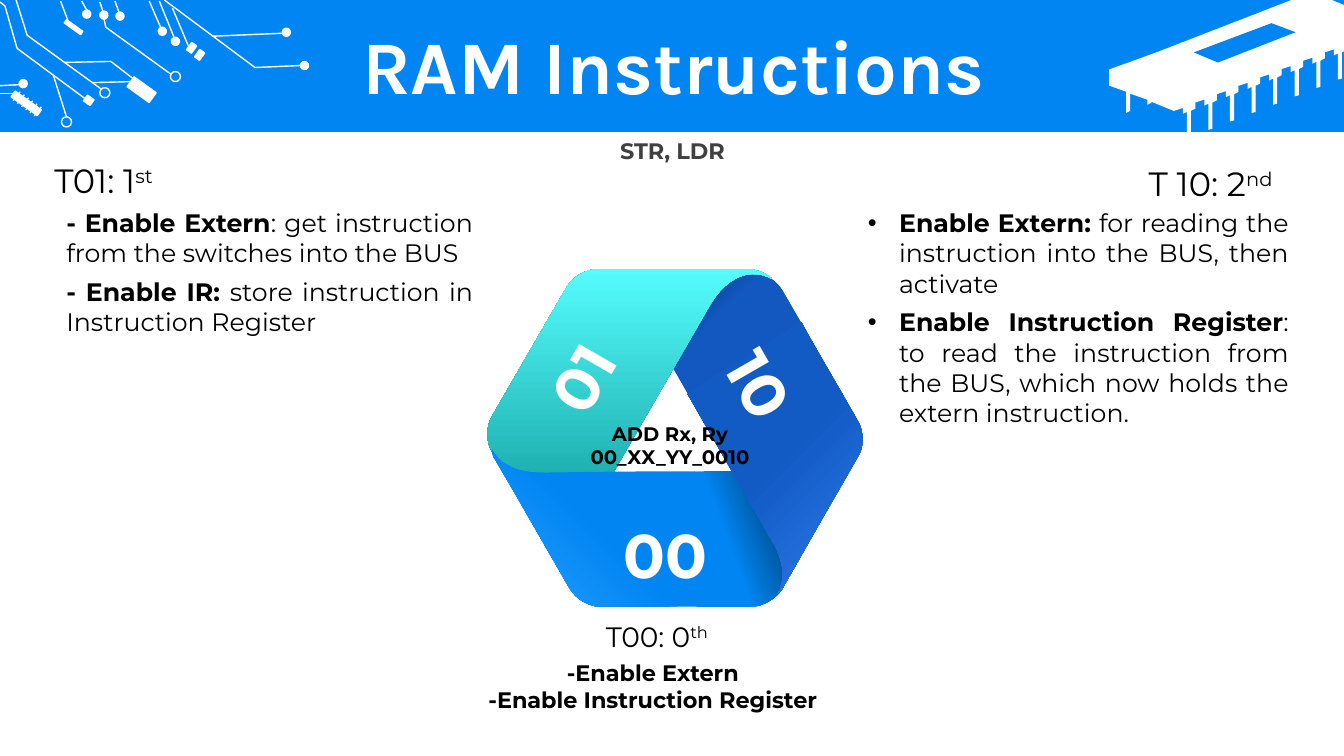
from lxml import etree
from pptx import Presentation
from pptx.dml.color import RGBColor
from pptx.enum.shapes import MSO_CONNECTOR, MSO_SHAPE
from pptx.enum.text import MSO_ANCHOR, MSO_AUTO_SIZE, PP_ALIGN
from pptx.oxml.ns import qn
from pptx.util import Inches, Pt

RECTANGLE, OVAL = MSO_SHAPE.RECTANGLE, MSO_SHAPE.OVAL
STRAIGHT = MSO_CONNECTOR.STRAIGHT
TOP, MIDDLE = MSO_ANCHOR.TOP, MSO_ANCHOR.MIDDLE
LEFT, CENTER, RIGHT, JUSTIFY = PP_ALIGN.LEFT, PP_ALIGN.CENTER, PP_ALIGN.RIGHT, PP_ALIGN.JUSTIFY
GROW = MSO_AUTO_SIZE.SHAPE_TO_FIT_TEXT
BLUE = RGBColor(0x00, 0x85, 0xF2)
LIGHT_BLUE = RGBColor(0x2B, 0xA0, 0xFF)
SHADE_BLUE = RGBColor(0x00, 0x4C, 0x8A)
ROYAL = RGBColor(0x12, 0x5A, 0xC4)
DEEP_ROYAL = RGBColor(0x12, 0x58, 0xC0)
BRIGHT_ROYAL = RGBColor(0x2E, 0x7B, 0xEC)
NAVY = RGBColor(0x06, 0x1F, 0x45)
TEAL = RGBColor(0x01, 0x86, 0x87)
AQUA = RGBColor(0x55, 0xFC, 0xFD)
WHITE = RGBColor(0xFF, 0xFF, 0xFF)
BLACK = RGBColor(0x00, 0x00, 0x00)
GRAY = RGBColor(0x40, 0x40, 0x40)
CELL = Inches(1)
COLUMNS, ROWS = 13.33, 7.5
TILT = 35.7
CURVE_STEPS = 16


def grid(*cells):
    return [round(cell * CELL) for cell in cells]


def trace(shapes, points, closed=True):
    vertices = [points[0]]
    for point in points[1:]:
        if len(point) == 2:
            vertices.append(point)
            continue
        x0, y0 = vertices[-1]
        x1, y1, x2, y2, x3, y3 = point
        for step in range(1, CURVE_STEPS + 1):
            t = step / CURVE_STEPS
            a, b, c, d = (1 - t) ** 3, 3 * t * (1 - t) ** 2, 3 * t * t * (1 - t), t ** 3
            vertices.append((a * x0 + b * x1 + c * x2 + d * x3, a * y0 + b * y1 + c * y2 + d * y3))
    builder = shapes.build_freeform(*grid(*vertices[0]))
    builder.add_line_segments([grid(*vertex) for vertex in vertices[1:]], close=closed)
    shape = builder.convert_to_shape()
    shape.shadow.inherit = False
    return shape


presentation = Presentation()
presentation.slide_width, presentation.slide_height = grid(COLUMNS, ROWS)
slide = presentation.slides.add_slide(presentation.slide_layouts[5])
shapes = slide.shapes

band = shapes.add_shape(RECTANGLE, *grid(0, 0, COLUMNS, 1.31))
band.shadow.inherit = False
band.fill.solid()
band.fill.fore_color.rgb = BLUE
band.line.fill.background()

pin = [(0, 0), (0, 0.26), (-0.04, 0.27), (-0.04, 0.01), (-0.08, 0.03), (-0.08, -0.03), (-0.17, 0), (-0.17, 0.06)]
pins = [(13.31 - 0.214 * i + x, 0.52 + 0.083 * i + y) for i in range(8) for x, y in pin]
chip = [(12.81, 0), (13.21, 0), (COLUMNS, 0.05), (COLUMNS, 0.51), *pins[:-1],
        (11.42, 1.01), (11.42, 1.02), (11.38, 1.04), (11.38, 0.99), (11.21, 0.93), (11.21, 1.1),
        (11.17, 1.12), (11.17, 0.91), (11, 0.85), (11, 0.69), (11.47, 0.52)]
chip_window = [(12.61, 0.23), (11.84, 0.52), (12.08, 0.62), (12.85, 0.32)]
for outline, color in [(chip, WHITE), (chip_window, BLUE)]:
    shape = trace(shapes, outline)
    shape.fill.solid()
    shape.fill.fore_color.rgb = color
    shape.line.fill.background()

dots = [(2.98, 0.61), (2.8, 0.28), (0.82, 0.1), (0.99, 0.11), (1.15, 0.12), (0.19, 0.79), (1.7, 0.37), (1.57, 0.27)]
rings = [(1.69, 0.71), (0.99, 0.87), (0.61, 1.16)]
components = [(1.27, 0.83, 0.27, 0.12), (0.63, 0.25, 0.2, 0.04), (0.84, 0.96, 0.08, 0.07),
              (1.87, 0.43, 0.06, 0.09), (1.95, 0.5, 0.06, 0.09), (0.1, 0.99, 0.32, 0.07)]
parts = [(RECTANGLE, box, True) for box in components]
parts += [(OVAL, (x, y, 0.08, 0.08), True) for x, y in dots]
parts += [(OVAL, (x, y, 0.1, 0.1), False) for x, y in rings]
for kind, box, filled in parts:
    shape = shapes.add_shape(kind, *grid(*box))
    shape.rotation = TILT
    shape.shadow.inherit = False
    if filled:
        shape.fill.solid()
        shape.fill.fore_color.rgb = WHITE
    else:
        shape.fill.background()
    shape.line.color.rgb = WHITE
    shape.line.width = Pt(1)

wires = [(0.6, 0.01, 0.68, 0.22), (0.81, 0.01, 0.86, 0.1), (0.99, 0.02, 1.02, 0.11), (1.14, 0.01, 1.18, 0.12),
         (1.48, 0.01, 1.61, 0.31), (1.58, 0.01, 1.73, 0.38), (2.1, 0.36, 2.8, 0.33), (1.71, 0.08, 1.87, 0.46),
         (0, 0.85, 0.19, 0.84), (0, 0.93, 0.14, 0.93), (0.53, 0.75, 0.66, 1.16), (0.92, 0.82, 1.3, 0.81)]
wires += [(0.13 + 0.042 * i, 1 + 0.03 * i, 0.2 + 0.042 * i, 0.91 + 0.03 * i) for i in range(6)]
for wire in wires:
    connector = shapes.add_connector(STRAIGHT, *grid(*wire))
    connector.line.color.rgb = WHITE
    connector.line.width = Pt(1)
    etree.SubElement(connector.element.spPr, qn("a:effectLst"))

bent_wires = [
    [(1.63, 0), (2.53, 0.67), (2.99, 0.65)],
    [(0.16, 0), (0.27, 0.35), (1, 0.88)],
    [(0, 0.02), (0.05, 0.06), (0.17, 0.48), (0.86, 0.99)],
    [(0.64, 0.62), (1.1, 0.61), (1.32, 0.78)],
    [(1.03, 0.18), (1.05, 0.27), (1.7, 0.74)],
]
for wire in bent_wires:
    shape = trace(shapes, wire, closed=False)
    shape.fill.background()
    shape.line.color.rgb = WHITE
    shape.line.width = Pt(1)

ribbons = [
    ([(5.98, 2.7), (7.46, 2.7), (7.57, 2.7, 7.7, 2.78, 7.76, 2.88), (8.31, 3.83), (7.19, 4.55), (6.34, 3.06),
      (6.18, 2.79, 5.95, 2.7, 5.75, 2.79), (5.81, 2.74, 5.9, 2.7, 5.98, 2.7)],
     135, [(0, ROYAL), (59, DEEP_ROYAL), (88, NAVY)]),
    ([(6.88, 4.68), (7.02, 4.68, 7.36, 4.66, 7.48, 4.69), (7.59, 4.73, 7.44, 4.85, 7.55, 4.88),
      (7.66, 4.92, 7.95, 4.88, 8.15, 4.88), (8.28, 4.88, 8.26, 4.88, 8.31, 4.87), (7.76, 5.84),
      (7.7, 5.94, 7.56, 6.02, 7.45, 6.02), (6.91, 6.02), (6.91, 5.57, 6.88, 5.12, 6.88, 4.68)],
     20, [(0, BLUE), (30, BLUE), (62, SHADE_BLUE)]),
    ([(4.88, 4.48), (5.62, 5.77), (5.63, 5.79, 5.65, 5.81, 5.66, 5.83), (5.59, 5.69, 5.61, 5.51, 5.72, 5.32),
      (7.04, 3.03), (7.21, 2.74, 7.45, 2.65, 7.66, 2.77), (7.6, 2.71, 7.5, 2.67, 7.41, 2.67), (5.93, 2.67),
      (5.81, 2.67, 5.68, 2.75, 5.62, 2.85), (4.88, 4.13), (4.82, 4.23, 4.82, 4.39, 4.88, 4.48)],
     90, [(0, TEAL), (100, AQUA)]),
    ([(4.88, 4.46), (4.95, 4.6, 5.12, 4.69, 5.36, 4.69), (5.36, 4.69, 6.45, 4.67, 7, 4.68), (7, 6.02),
      (5.95, 6.02), (5.86, 6.02, 5.74, 5.96, 5.68, 5.88), (5.65, 5.84), (5.08, 4.85), (4.91, 4.56),
      (4.89, 4.53, 4.88, 4.5, 4.88, 4.46)],
     225, [(0, BLUE), (50, BLUE), (100, LIGHT_BLUE)]),
    ([(7.95, 3.2), (8.05, 3.39, 8.23, 3.69, 8.51, 4.18), (8.57, 4.28, 8.57, 4.44, 8.51, 4.53), (7.77, 5.82),
      (7.76, 5.85, 7.74, 5.87, 7.71, 5.89), (7.79, 5.76, 7.78, 5.57, 7.66, 5.37), (6.82, 3.91)],
     135, [(0, BRIGHT_ROYAL), (50, ROYAL), (100, ROYAL)]),
]
for outline, angle, stops in ribbons:
    shape = trace(shapes, outline)
    shape.line.fill.background()
    shape.fill.gradient()
    shape.fill.gradient_angle = angle
    stop_list = shape.element.spPr.find(qn("a:gradFill")).find(qn("a:gsLst"))
    for default_stop in list(stop_list):
        stop_list.remove(default_stop)
    for percent, color in stops:
        stop = etree.SubElement(stop_list, qn("a:gs"), pos=str(percent * 1000))
        etree.SubElement(stop, qn("a:srgbClr"), val=str(color))

title = shapes.title
title.element.getparent().append(title.element)
title.left, title.top, title.width, title.height = grid(0.35, 0.3, 12.66, 0.79)
title.text_frame.text = "RAM Instructions"
title.text_frame.vertical_anchor = MIDDLE
heading = title.text_frame.paragraphs[0]
heading.alignment = CENTER
heading.line_spacing = 0.9
heading.runs[0].font.name = "Karla"
heading.runs[0].font.size = Pt(54)
heading.runs[0].font.bold = True
heading.runs[0].font.color.rgb = WHITE

BOLD, PLAIN, RAISED = "bold", "plain", "raised"
labels = [
    ((4.86, 3.33, 1.83, 0.84), 300, TOP, CENTER, 44, WHITE, False, [[("01", BOLD)]]),
    ((6.53, 3.39, 2.01, 0.84), 60, TOP, CENTER, 44, WHITE, False, [[("10", BOLD)]]),
    ((5.71, 5.08, 1.78, 0.84), 0, TOP, CENTER, 44, WHITE, False, [[("00", BOLD)]]),
    ((0.44, 1.54, 4.15, 0.5), 0, MIDDLE, LEFT, 24, BLACK, False, [[("T01: 1", PLAIN), ("st", RAISED)]]),
    ((0.56, 2.01, 4.23, 1.4), 0, TOP, JUSTIFY, 18, BLACK, False, [
        [("- Enable Extern", BOLD), (": get instruction from the switches into the BUS", PLAIN)],
        [("- Enable IR: ", BOLD), ("store instruction in Instruction Register", PLAIN)]]),
    ((8.74, 1.57, 4.03, 0.5), 0, MIDDLE, RIGHT, 24, BLACK, False, [[("T 10: 2", PLAIN), ("nd ", RAISED)]]),
    ((8.51, 2.01, 4.37, 2.31), 0, TOP, JUSTIFY, 18, BLACK, True, [
        [("Enable Extern: ", BOLD), ("for reading the instruction into the BUS, then activate", PLAIN)],
        [("Enable Instruction Register", BOLD),
         (": to read the instruction from the BUS, which now holds the extern instruction.", PLAIN)]]),
    ((4.44, 6.09, 4.15, 0.44), 0, MIDDLE, CENTER, 20, BLACK, False, [[("T00: 0", PLAIN), ("th", RAISED)]]),
    ((4.44, 6.49, 4.07, 0.64), 0, TOP, CENTER, 16, BLACK, False,
     [[("-Enable Extern", BOLD)], [("-Enable Instruction Register", BOLD)]]),
    ((4.1, 1.31, 5.14, 0.37), 0, MIDDLE, CENTER, 16, GRAY, False, [[("STR, LDR", BOLD)]]),
    ((5.59, 4.13, 2.11, 0.57), 0, MIDDLE, CENTER, 14, BLACK, False,
     [[("ADD Rx, Ry", BOLD)], [("00_XX_YY_0010", BOLD)]]),
]
for box, rotation, anchor, alignment, size, color, bulleted, lines in labels:
    label = shapes.add_textbox(*grid(*box))
    label.rotation = rotation
    frame = label.text_frame
    frame.word_wrap = True
    frame.auto_size = GROW
    frame.vertical_anchor = anchor
    for index, line in enumerate(lines):
        paragraph = frame.add_paragraph() if index else frame.paragraphs[0]
        paragraph.alignment = alignment
        if index and alignment == JUSTIFY:
            paragraph.space_before = Pt(6)
        if bulleted:
            properties = paragraph._p.get_or_add_pPr()
            properties.set("marL", str(Inches(0.31)))
            properties.set("indent", str(-Inches(0.31)))
            etree.SubElement(properties, qn("a:buFont"), typeface="Arial")
            etree.SubElement(properties, qn("a:buChar"), char="•")
        for text, style in line:
            run = paragraph.add_run()
            run.text = text
            run.font.name = "Montserrat"
            run.font.size = Pt(size)
            run.font.bold = style == BOLD
            run.font.color.rgb = color
            if style == RAISED:
                run.font._element.set("baseline", "30000")

presentation.save("out.pptx")
